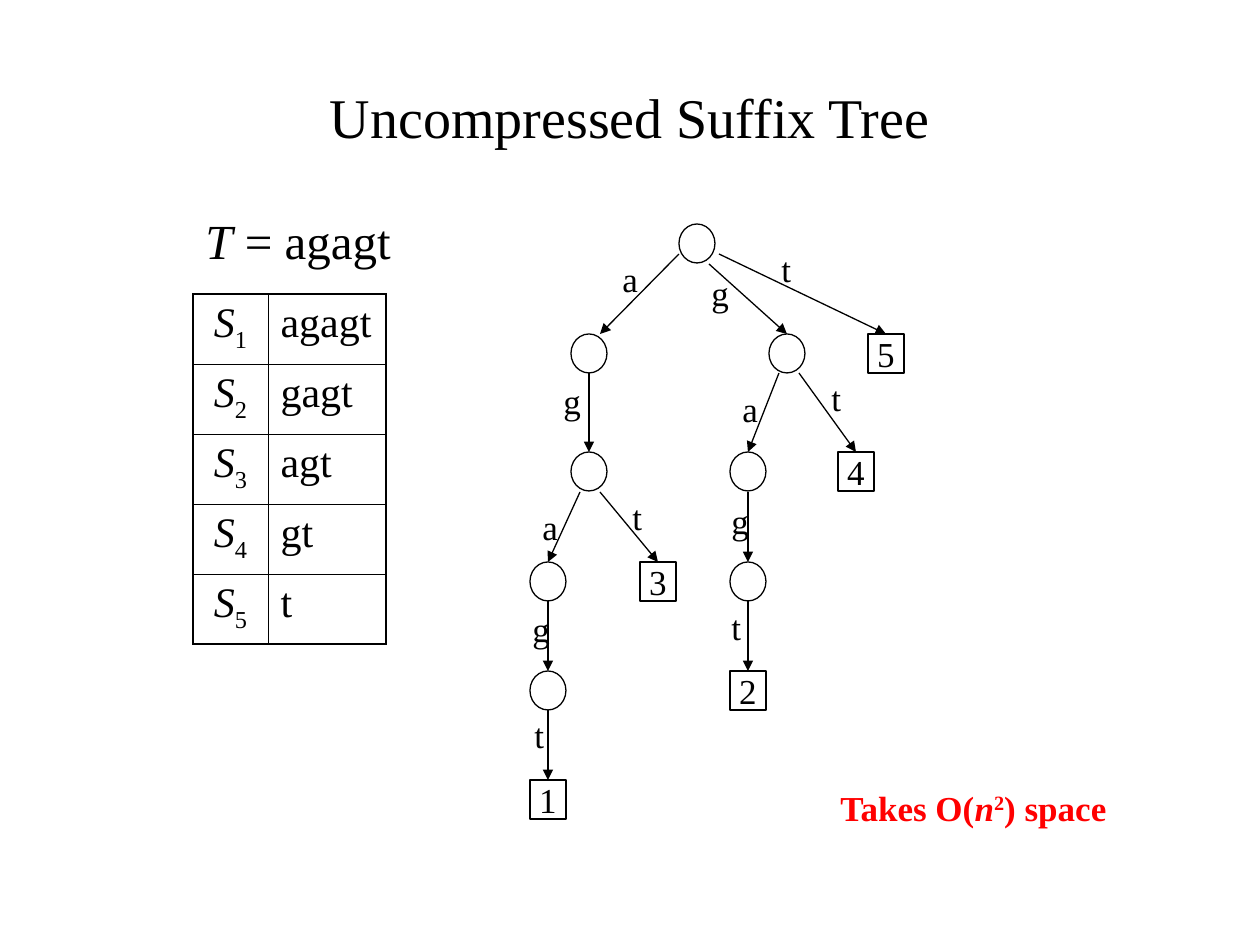
from lxml import etree
from pptx import Presentation
from pptx.dml.color import RGBColor
from pptx.enum.shapes import MSO_CONNECTOR, MSO_SHAPE
from pptx.enum.text import MSO_ANCHOR, PP_ALIGN
from pptx.oxml import parse_xml
from pptx.oxml.ns import nsdecls, qn
from pptx.util import Emu, Pt

PX = 914400 / 126
BLACK = RGBColor(0x00, 0x00, 0x00)
RED = RGBColor(0xFF, 0x00, 0x00)
FONT = "Times New Roman"
LEFT, CENTER = PP_ALIGN.LEFT, PP_ALIGN.CENTER
TOP, MIDDLE = MSO_ANCHOR.TOP, MSO_ANCHOR.MIDDLE
OVAL, RECT = MSO_SHAPE.OVAL, MSO_SHAPE.RECTANGLE
STRAIGHT = MSO_CONNECTOR.STRAIGHT
ITALIC = {"italic": True}
SUB, SUPER = "-25000", "30000"


def px(*lengths):
    return [Emu(round(n * PX)) for n in lengths]


def write(tf, runs, size, align=LEFT, color=BLACK, bold=False):
    """Fill the first paragraph with (text, font values, baseline) runs."""
    p = tf.paragraphs[0]
    p.alignment = align
    for text, values, baseline in runs:
        r = p.add_run()
        r.text = text
        font = {"name": FONT, "size": Pt(size), "bold": bold, "italic": False}
        for name, value in (font | values).items():
            setattr(r.font, name, value)
        r.font.color.rgb = color
        if baseline:
            r._r.get_or_add_rPr().set("baseline", baseline)


prs = Presentation()
prs.slide_width, prs.slide_height = px(1260, 945)
s = prs.slides.add_slide(prs.slide_layouts[6])

# Title, string and note
texts = [
    ((63, 38, 1134, 157), [("Uncompressed Suffix Tree", {}, None)], 32, CENTER, BLACK, False, MIDDLE),
    ((193, 204, 218, 72), [("T", ITALIC, None), (" = agagt", {}, None)], 28, LEFT, BLACK, False, TOP),
    ((828, 780, 307, 55),
     [("Takes O(", {}, None), ("n", ITALIC, None), ("2", {}, SUPER), (") space", {}, None)],
     20, LEFT, RED, True, TOP),
]
for box, runs, size, align, color, bold, anchor in texts:
    tf = s.shapes.add_textbox(*px(*box)).text_frame
    tf.word_wrap = True
    tf.vertical_anchor = anchor
    write(tf, runs, size, align, color, bold)

# Tree nodes: left, top; a number marks a leaf
NODE_W, NODE_H = 36, 39
LEVELS = [224, 334, 452, 562, 671, 780]
nodes = {
    "root": (679, 0), "a": (571, 1), "g": (769, 1), "5": (868, 1),
    "ag": (571, 2), "ga": (730, 2), "4": (838, 2),
    "aga": (530, 3), "3": (640, 3), "gag": (730, 3),
    "agag": (530, 4), "2": (730, 4), "1": (530, 5),
}
shapes = {}
for name, (x, level) in nodes.items():
    leaf = name.isdigit()
    sp = s.shapes.add_shape(RECT if leaf else OVAL, *px(x, LEVELS[level], NODE_W, NODE_H))
    sp.shadow.inherit = False
    sp.fill.background()
    sp.line.color.rgb = BLACK
    sp.line.width = Pt(0.75)
    if leaf:
        sp.text_frame.word_wrap = False
        sp.text_frame.vertical_anchor = MIDDLE
        write(sp.text_frame, [(name, {}, None)], 20, CENTER)
    shapes[name] = sp

# Tree edges: child, start point, letter, letter position
LETTER_W = {"a": 40, "g": 42, "t": 34}
edges = [
    ("a", (679, 254), "a", (610, 251)),
    ("g", (709, 264), "g", (699, 265)),
    ("5", (719, 254), "t", (769, 241)),
    ("ag", (589, 373), "g", (551, 373)),
    ("ga", (779, 373), "a", (730, 381)),
    ("4", (799, 373), "t", (819, 370)),
    ("aga", (580, 492), "a", (530, 499)),
    ("3", (600, 492), "t", (620, 489)),
    ("gag", (748, 492), "g", (719, 493)),
    ("agag", (548, 601), "g", (520, 601)),
    ("2", (748, 601), "t", (719, 599)),
    ("1", (548, 710), "t", (522, 707)),
]
for child, start, letter, place in edges:
    line = s.shapes.add_connector(STRAIGHT, *px(*start, 600, LEVELS[1]))
    if child != "a":
        line.end_connect(shapes[child], 0)
    line.line.color.rgb = BLACK
    line.line.width = Pt(0.75)
    etree.SubElement(line.line._get_or_add_ln(), qn("a:tailEnd"), type="triangle")
    etree.SubElement(line._element.spPr, qn("a:effectLst"))
    tf = s.shapes.add_textbox(*px(*place, LETTER_W[letter], 55)).text_frame
    tf.word_wrap = False
    write(tf, [(letter, {}, None)], 20)

# Suffix table
string = "agagt"
count = len(string)
ROW_H = 70
table = s.shapes.add_table(count, 2, *px(193, 294, 193, ROW_H * count)).table
table.first_row = table.horz_banding = False
for column, width in zip(table.columns, px(75, 118)):
    column.width = width
for i, row in enumerate(table.rows):
    row.height = px(ROW_H)[0]
    contents = [
        ([("S", ITALIC, None), (str(i + 1), {}, SUB)], CENTER),
        ([(string[i:], {}, None)], LEFT),
    ]
    for j, (runs, align) in enumerate(contents):
        cell = row.cells[j]
        cell.fill.background()
        write(cell.text_frame, runs, 24, align)
        outer = {"L": j == 0, "R": j == 1, "T": i == 0, "B": i == count - 1}
        for k, (side, is_outer) in enumerate(outer.items()):
            border = parse_xml(
                f'<a:ln{side} {nsdecls("a")} w="{Pt(1.08 if is_outer else 0.45)}">'
                f'<a:solidFill><a:srgbClr val="{BLACK}"/></a:solidFill></a:ln{side}>')
            cell._tc.get_or_add_tcPr().insert(k, border)

prs.save("out.pptx")
